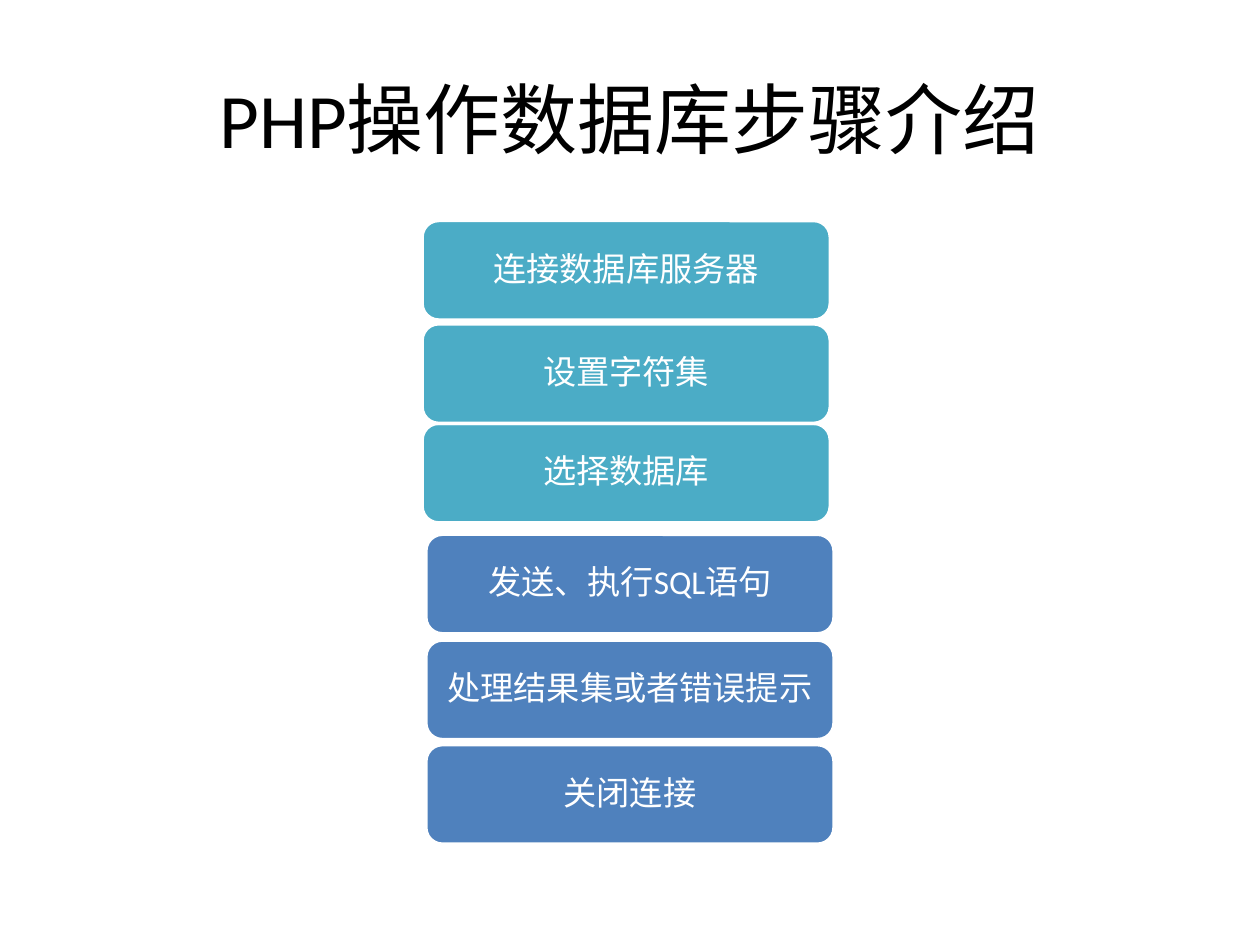
from dataclasses import dataclass

from pptx import Presentation
from pptx.dml.color import RGBColor
from pptx.enum.shapes import MSO_SHAPE as Shape
from pptx.enum.text import MSO_ANCHOR as Anchor, PP_ALIGN as Align
from pptx.util import Inches, Pt


@dataclass(frozen=True)
class Theme:
    font: str = "Calibri"
    black: RGBColor = RGBColor(0x00, 0x00, 0x00)
    white: RGBColor = RGBColor(0xFF, 0xFF, 0xFF)
    teal: RGBColor = RGBColor(0x4B, 0xAC, 0xC6)
    blue: RGBColor = RGBColor(0x4F, 0x81, 0xBD)
    title_size: int = 44
    step_size: int = 19
    outline: int = 2


class SlideBuilder:
    """Draws the elements of one slide in a shared theme."""

    def __init__(self, slide, theme):
        self.slide = slide
        self.theme = theme

    def set_text(self, shape, text, size, color, frame_format, line_spacing):
        frame = shape.text_frame
        for name, value in frame_format.items():
            setattr(frame, name, value)
        paragraph = frame.paragraphs[0]
        paragraph.alignment = Align.CENTER
        paragraph.line_spacing = line_spacing
        run = paragraph.add_run()
        run.text = text
        font_format = {"name": self.theme.font, "size": Pt(size)}
        for name, value in font_format.items():
            setattr(run.font, name, value)
        run.font.color.rgb = color

    def add_title(self, text, left, top, width, height):
        shape = self.slide.shapes.add_textbox(
            Inches(left), Inches(top), Inches(width), Inches(height)
        )
        frame_format = {"word_wrap": True, "vertical_anchor": Anchor.TOP}
        self.set_text(shape, text, self.theme.title_size, self.theme.black, frame_format, 1.0)

    def add_step(self, text, left, top, width, height, fill):
        shape = self.slide.shapes.add_shape(
            Shape.ROUNDED_RECTANGLE,
            Inches(left), Inches(top), Inches(width), Inches(height),
        )
        shape.shadow.inherit = False
        shape.fill.solid()
        shape.fill.fore_color.rgb = fill
        shape.line.color.rgb = self.theme.white
        shape.line.width = Pt(self.theme.outline)
        frame_format = {
            "word_wrap": True,
            "vertical_anchor": Anchor.MIDDLE,
            "margin_left": Inches(0.08),
            "margin_right": Inches(0.08),
            "margin_top": Inches(0.04),
            "margin_bottom": Inches(0.04),
        }
        self.set_text(shape, text, self.theme.step_size, self.theme.white, frame_format, 0.9)


def main():
    presentation = Presentation()
    presentation.slide_width = Inches(10)
    presentation.slide_height = Inches(7.5)
    theme = Theme()
    slide = presentation.slides.add_slide(presentation.slide_layouts[6])
    builder = SlideBuilder(slide, theme)

    builder.add_title("PHP操作数据库步骤介绍", 0.5, 0.52, 9, 1.25)

    step_groups = [
        (3.35, theme.teal, [
            (1.75, "连接数据库服务器"),
            (3.36, "选择数据库"),
            (2.57, "设置字符集"),
        ]),
        (3.38, theme.blue, [
            (4.24, "发送、执行SQL语句"),
            (5.08, "处理结果集或者错误提示"),
            (5.91, "关闭连接"),
        ]),
    ]
    for left, fill, steps in step_groups:
        for top, text in steps:
            builder.add_step(text, left, top, 3.24, 0.79, fill)

    presentation.save("out.pptx")


if __name__ == "__main__":
    main()
